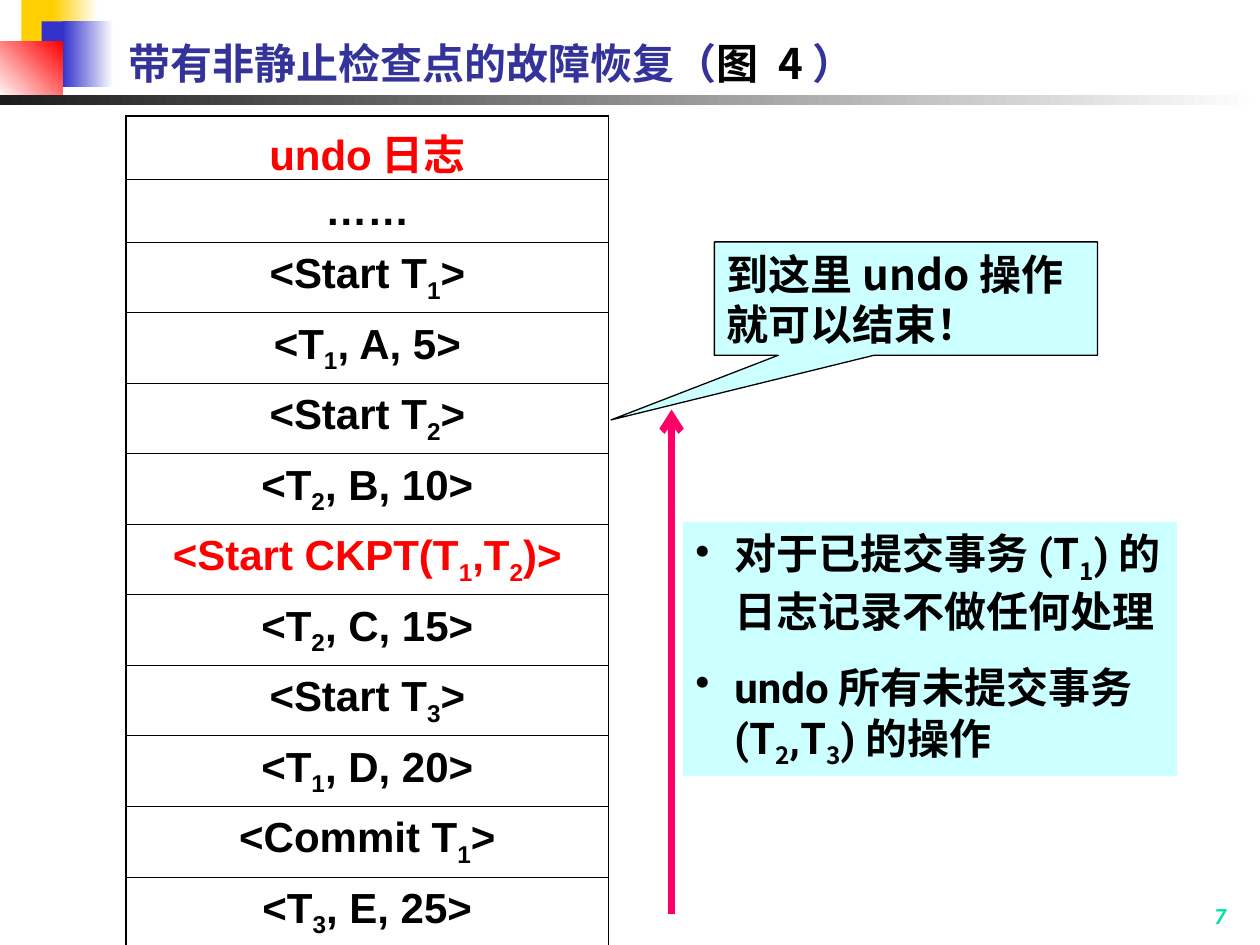
import dataclasses

import lxml.etree
import pptx
import pptx.dml.color
import pptx.enum.shapes
import pptx.enum.text
import pptx.oxml.ns
import pptx.util

Inches, Pt = pptx.util.Inches, pptx.util.Pt
Shape = pptx.enum.shapes.MSO_SHAPE
Anchor = pptx.enum.text.MSO_ANCHOR
Align = pptx.enum.text.PP_ALIGN
qn = pptx.oxml.ns.qn


@dataclasses.dataclass(frozen=True)
class Theme:
    latin: str = "Roboto"
    chinese: str = "Noto Sans CJK SC"
    log: str = "Arial"
    black: str = "000000"
    white: str = "FFFFFF"
    red: str = "FF0000"
    yellow: str = "FFCF01"
    blue: str = "3333CC"
    charcoal: str = "1C1C1C"
    title: str = "333399"
    note: str = "CCFFFF"
    arrow: str = "FF0066"
    number: str = "00E4A8"
    body_size: int = 24
    number_size: int = 12


def rgb(value):
    return pptx.dml.color.RGBColor.from_string(value)


def child(parent, tag, **attributes):
    return lxml.etree.SubElement(parent, qn(tag), attributes)


class SlideBuilder:
    def __init__(self, slide, theme):
        self.slide = slide
        self.theme = theme

    def add_text(self, para, text, **changes):
        """Add text to a paragraph; a character after "_" is a subscript."""
        style = {"name": self.theme.latin, "size": Pt(self.theme.body_size),
                 "bold": True, "color": self.theme.black} | changes
        color = style.pop("color")
        first, *rest = text.split("_")
        pieces = [(first, False)]
        for part in rest:
            pieces += [(part[0], True), (part[1:], False)]
        for piece, lowered in pieces:
            if not piece:
                continue
            span = para.add_run()
            span.text = piece
            for key, value in style.items():
                setattr(span.font, key, value)
            span.font.color.rgb = rgb(color)
            properties = span._r.get_or_add_rPr()
            child(properties, "a:ea", typeface=self.theme.chinese)
            if lowered:
                properties.set("baseline", "-25000")

    def frame(self, box, anchor=Anchor.TOP, align=Align.LEFT):
        frame = box.text_frame
        frame.word_wrap = True
        frame.vertical_anchor = anchor
        frame.paragraphs[0].alignment = align
        return frame

    def title(self, spans, left, top, width, height):
        box = self.slide.shapes.title
        place = {"left": left, "top": top, "width": width, "height": height}
        for key, value in place.items():
            setattr(box, key, Inches(value))
        para = self.frame(box, Anchor.BOTTOM).paragraphs[0]
        for text, changes in spans:
            self.add_text(para, text, **changes)

    def shape(self, kind, place, color, end_color=None, angle=0):
        """Add a borderless shape, with a gradient if end_color is given."""
        shape = self.slide.shapes.add_shape(kind, *map(Inches, place))
        shape.shadow.inherit = False
        shape.line.fill.background()
        if end_color:
            shape.fill.gradient()
            shape.fill.gradient_angle = angle
            for stop, value in zip(shape.fill.gradient_stops, (color, end_color)):
                stop.color.rgb = rgb(value)
        else:
            shape.fill.solid()
            shape.fill.fore_color.rgb = rgb(color)
        return shape

    def callout(self, text, place, adjustments):
        box = self.shape(Shape.RECTANGULAR_CALLOUT, place, self.theme.note)
        for index, value in enumerate(adjustments):
            box.adjustments[index] = value
        box.line.color.rgb = rgb(self.theme.black)
        box.line.width = Pt(0.75)
        self.add_text(self.frame(box).paragraphs[0], text, name=self.theme.chinese)

    def bullets(self, items, place):
        frame = self.frame(self.shape(Shape.RECTANGLE, place, self.theme.note))
        for index, spans in enumerate(items):
            para = frame.add_paragraph() if index else frame.paragraphs[0]
            para.alignment = Align.LEFT
            if index:
                para.space_before = Pt(15)
            properties = para._p.get_or_add_pPr()
            properties.set("marL", str(Inches(0.31)))
            properties.set("indent", str(-Inches(0.31)))
            child(child(properties, "a:buClr"), "a:srgbClr", val=self.theme.black)
            child(properties, "a:buChar", char="•")
            for text, font in spans:
                self.add_text(para, text, name=font)

    def label(self, text, place, **changes):
        box = self.slide.shapes.add_textbox(*map(Inches, place))
        para = self.frame(box, Anchor.BOTTOM, Align.RIGHT).paragraphs[0]
        self.add_text(para, text, **changes)

    def arrow(self, start, end):
        line = self.slide.shapes.add_connector(
            pptx.enum.shapes.MSO_CONNECTOR.STRAIGHT, *map(Inches, start + end))
        line.line.color.rgb = rgb(self.theme.arrow)
        line.line.width = Pt(4)
        child(line.line._get_or_add_ln(), "a:tailEnd", type="arrow")
        child(line._element.spPr, "a:effectLst")

    def borders(self, cell, widths):
        properties = cell._tc.get_or_add_tcPr()
        for index, (side, width) in enumerate(widths.items()):
            line = lxml.etree.Element(qn(f"a:ln{side}"), w=str(Pt(width)))
            child(child(line, "a:solidFill"), "a:srgbClr", val=self.theme.black)
            properties.insert(index, line)

    def log_table(self, records, left, top, width, thick=1.08, thin=0.45):
        heights = [0.5, 0.5] + [0.56] * (len(records) - 2)
        table = self.slide.shapes.add_table(
            len(records), 1, *map(Inches, (left, top, width, sum(heights)))).table
        table.first_row = table.horz_banding = False
        last = len(records) - 1
        for index, (text, color) in enumerate(records):
            table.rows[index].height = Inches(heights[index])
            cell = table.cell(index, 0)
            cell.vertical_anchor = Anchor.MIDDLE
            cell.fill.solid()
            cell.fill.fore_color.rgb = rgb(self.theme.white)
            self.borders(cell, {"L": thick, "R": thick,
                                "T": thick if index == 0 else thin,
                                "B": thick if index == last else thin})
            para = cell.text_frame.paragraphs[0]
            para.alignment = Align.CENTER
            self.add_text(para, text, name=self.theme.log, color=color)


def main():
    theme = Theme()
    deck = pptx.Presentation()
    deck.slide_width, deck.slide_height = Inches(10), Inches(7.5)
    page = SlideBuilder(deck.slides.add_slide(deck.slide_layouts[5]), theme)

    decorations = [
        ((0.17, 0, 0.48, 0.52), theme.yellow),
        ((0.42, 0, 0.36, 0.52), theme.yellow, theme.white),
        ((0.33, 0.17, 0.46, 0.52), theme.blue),
        ((0.5, 0.17, 0.4, 0.52), theme.blue, theme.white),
        ((0, 0.33, 0.5, 0.46), theme.white, theme.red, 45),
        ((0, 0.75, 10, 0.08), theme.charcoal, theme.white),
    ]
    for decoration in decorations:
        page.shape(Shape.RECTANGLE, *decoration)

    page.label("7", (7.75, 7.17, 2.08, 0.25), size=Pt(theme.number_size),
               color=theme.number, italic=True)
    page.title([("带有非静止检查点的故障恢复（", {"color": theme.title}),
                ("图 4", {"name": theme.chinese}),
                ("）", {"color": theme.title})], 0.92, 0.17, 8.52, 0.58)

    records = ["undo日志", "……", "<Start T_1>", "<T_1, A, 5>", "<Start T_2>",
               "<T_2, B, 10>", "<Start CKPT(T_1,T_2)>", "<T_2, C, 15>",
               "<Start T_3>", "<T_1, D, 20>", "<Commit T_1>", "<T_3, E, 25>"]
    highlighted = {"undo日志", "<Start CKPT(T_1,T_2)>"}
    page.log_table([(record, theme.red if record in highlighted else theme.black)
                    for record in records], 1, 0.92, 3.83)

    page.callout("到这里undo操作就可以结束！", (5.67, 1.92, 3.04, 0.9), (-0.77, 1.07))
    page.arrow((5.33, 7.25), (5.33, 3.25))
    page.bullets([
        [("对于已提交事务(", theme.latin), ("T_1", theme.chinese),
         (")的日志记录不做任何处理", theme.latin)],
        [("undo所有未提交事务(", theme.latin), ("T_2", theme.chinese),
         (",", theme.latin), ("T_3", theme.chinese), (")的操作", theme.latin)],
    ], (5.42, 4.14, 3.92, 2.02))

    deck.save("out.pptx")


if __name__ == "__main__":
    main()
